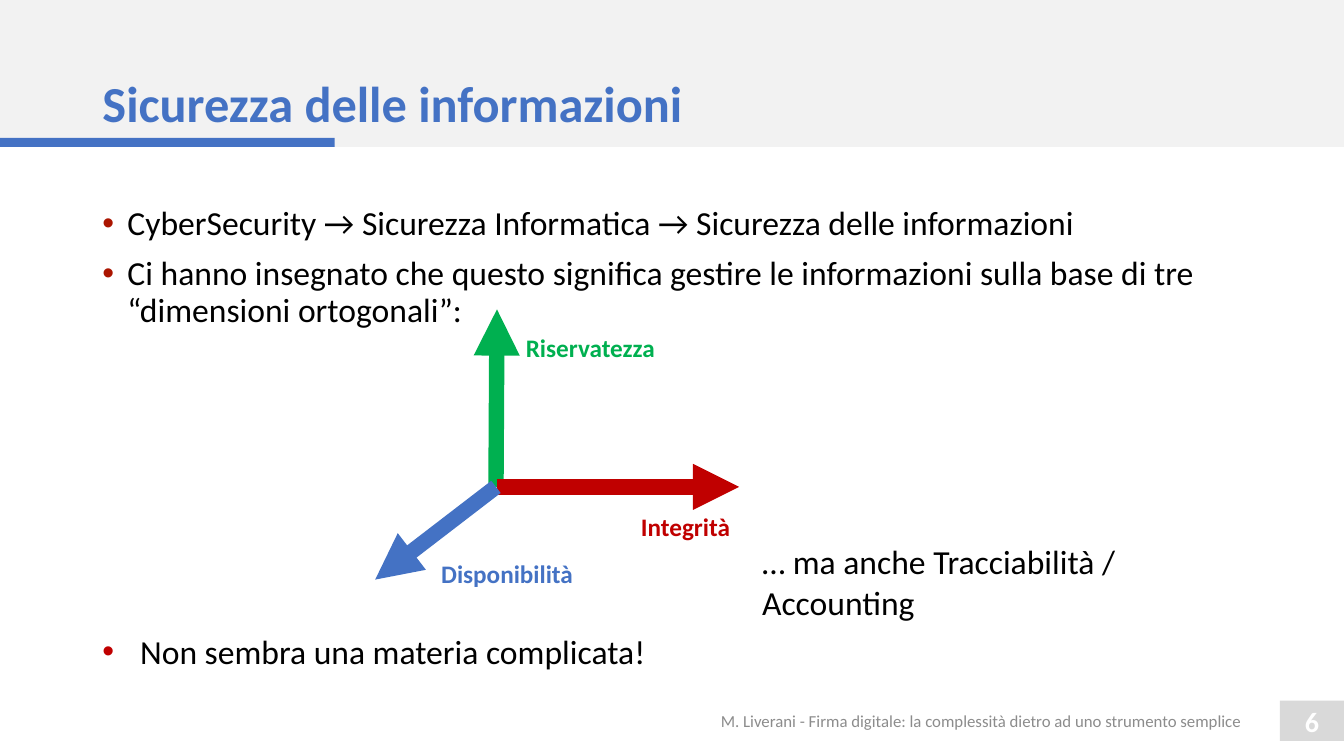
from lxml import etree
from pptx import Presentation
from pptx.dml.color import RGBColor
from pptx.enum import shapes, text
from pptx.oxml.ns import qn
from pptx.util import Pt

FONT = "Calibri"
BLACK = RGBColor(0x00, 0x00, 0x00)
WHITE = RGBColor(0xFF, 0xFF, 0xFF)
BLUE = RGBColor(0x44, 0x72, 0xC4)
GREEN = RGBColor(0x00, 0xB0, 0x50)
RED = RGBColor(0xC0, 0x00, 0x00)
DARK_RED = RGBColor(0xAB, 0x15, 0x00)
BAND_GRAY = RGBColor(0xF2, 0xF2, 0xF2)
NUMBER_GRAY = RGBColor(0xD9, 0xD9, 0xD9)
FOOTER_GRAY = RGBColor(0x8C, 0x8C, 0x8C)


def add_run(paragraph, words, size, color, bold=False):
    """Add one formatted run to a paragraph."""
    run = paragraph.add_run()
    run.text = words
    run.font.name = FONT
    run.font.size = Pt(size)
    run.font.bold = bold
    run.font.color.rgb = color


def add_bullet(paragraph, indent, color):
    """Give a paragraph a coloured round bullet with a hanging indent."""
    properties = paragraph._p.get_or_add_pPr()
    properties.set("marL", str(Pt(indent)))
    properties.set("indent", str(-Pt(indent)))
    bullet_color = etree.SubElement(properties, qn("a:buClr"))
    etree.SubElement(bullet_color, qn("a:srgbClr")).set("val", str(color))
    etree.SubElement(properties, qn("a:buFont")).set("typeface", "Arial")
    etree.SubElement(properties, qn("a:buChar")).set("char", "•")


def add_rectangle(slide, left, top, width, height, color):
    """Add a plain filled rectangle."""
    shape = slide.shapes.add_shape(
        shapes.MSO_SHAPE.RECTANGLE, Pt(left), Pt(top), Pt(width), Pt(height))
    shape.shadow.inherit = False
    shape.fill.solid()
    shape.fill.fore_color.rgb = color
    shape.line.fill.background()
    return shape


def add_text_box(slide, left, top, width, height, wrap=True):
    """Add an empty text box and return its text frame."""
    box = slide.shapes.add_textbox(Pt(left), Pt(top), Pt(width), Pt(height))
    box.text_frame.word_wrap = wrap
    return box.text_frame


def add_axis(slide, start, end, color):
    """Add a thick arrow from start to end."""
    connector = slide.shapes.add_connector(
        shapes.MSO_CONNECTOR.STRAIGHT, *(Pt(value) for value in start + end))
    connector.line.color.rgb = color
    connector.line.width = Pt(11)
    line = connector.line._get_or_add_ln()
    etree.SubElement(line, qn("a:tailEnd")).set("type", "triangle")
    etree.SubElement(connector._element.spPr, qn("a:effectLst"))


def add_axis_label(slide, left, top, width, words, color):
    """Add the bold name of an axis."""
    frame = add_text_box(slide, left, top, width, 29, wrap=False)
    add_run(frame.paragraphs[0], words, 18, color, bold=True)


def add_header(slide):
    """Draw the header band and set the title on it."""
    add_rectangle(slide, 0, 0, 960, 105, BAND_GRAY)
    add_rectangle(slide, 0, 98.6, 239, 6.4, BLUE)
    title = slide.shapes.title
    title.left, title.top, title.width, title.height = Pt(66), Pt(3.6), Pt(828), Pt(95)
    title.element.getparent().append(title.element)
    frame = title.text_frame
    frame.word_wrap = True
    frame.vertical_anchor = text.MSO_ANCHOR.BOTTOM
    paragraph = frame.paragraphs[0]
    paragraph.alignment = text.PP_ALIGN.LEFT
    paragraph.line_spacing = 0.9
    add_run(paragraph, "Sicurezza delle informazioni", 36, BLUE, bold=True)


def add_body(slide):
    """Add the opening bullet list."""
    frame = add_text_box(slide, 66, 144, 828, 343)
    points = [
        "CyberSecurity → Sicurezza Informatica → Sicurezza delle informazioni",
        "Ci hanno insegnato che questo significa gestire le informazioni "
        "sulla base di tre “dimensioni ortogonali”:",
    ]
    for index, words in enumerate(points):
        paragraph = frame.add_paragraph() if index else frame.paragraphs[0]
        add_bullet(paragraph, 18, DARK_RED)
        paragraph.line_spacing = 0.9
        if index:
            paragraph.space_before = Pt(10)
        add_run(paragraph, words, 24, BLACK)


def add_footer(slide):
    """Add the footer text and the slide number."""
    frame = add_text_box(slide, 318, 500.5, 576, 28.75)
    frame.vertical_anchor = text.MSO_ANCHOR.MIDDLE
    paragraph = frame.paragraphs[0]
    paragraph.alignment = text.PP_ALIGN.RIGHT
    add_run(paragraph, "M. Liverani - Firma digitale: la complessità dietro "
            "ad uno strumento semplice", 12, FOOTER_GRAY)
    number = add_rectangle(slide, 914.25, 500.5, 45.75, 28.75, NUMBER_GRAY)
    number.text_frame.vertical_anchor = text.MSO_ANCHOR.MIDDLE
    paragraph = number.text_frame.paragraphs[0]
    paragraph.alignment = text.PP_ALIGN.CENTER
    add_run(paragraph, "6", 20, WHITE, bold=True)


def add_dimensions(slide):
    """Draw the three axes and their names."""
    add_axis(slide, (354.3, 347.8), (355, 221), GREEN)
    add_axis(slide, (355, 347.8), (528, 347.8), RED)
    add_axis(slide, (354.3, 347.8), (268, 414), BLUE)
    add_axis_label(slide, 368.5, 234, 107, "Riservatezza", GREEN)
    add_axis_label(slide, 450.7, 361.7, 78.5, "Integrità", RED)
    add_axis_label(slide, 308, 395.3, 109.5, "Disponibilità", BLUE)


def add_remarks(slide):
    """Add the side remark and the closing bullet."""
    side = add_text_box(slide, 537.3, 383, 376.5, 36)
    add_run(side.paragraphs[0], "… ma anche Tracciabilità / Accounting", 24, BLACK)
    closing = add_text_box(slide, 66, 447.3, 423, 36).paragraphs[0]
    add_bullet(closing, 27, RED)
    add_run(closing, "Non sembra una materia complicata!", 24, BLACK)


def main():
    """Build the slide and save it."""
    presentation = Presentation()
    presentation.slide_width, presentation.slide_height = Pt(960), Pt(540)
    slide = presentation.slides.add_slide(presentation.slide_layouts[5])
    add_header(slide)
    add_body(slide)
    add_footer(slide)
    add_dimensions(slide)
    add_remarks(slide)
    presentation.save("out.pptx")


if __name__ == "__main__":
    main()
